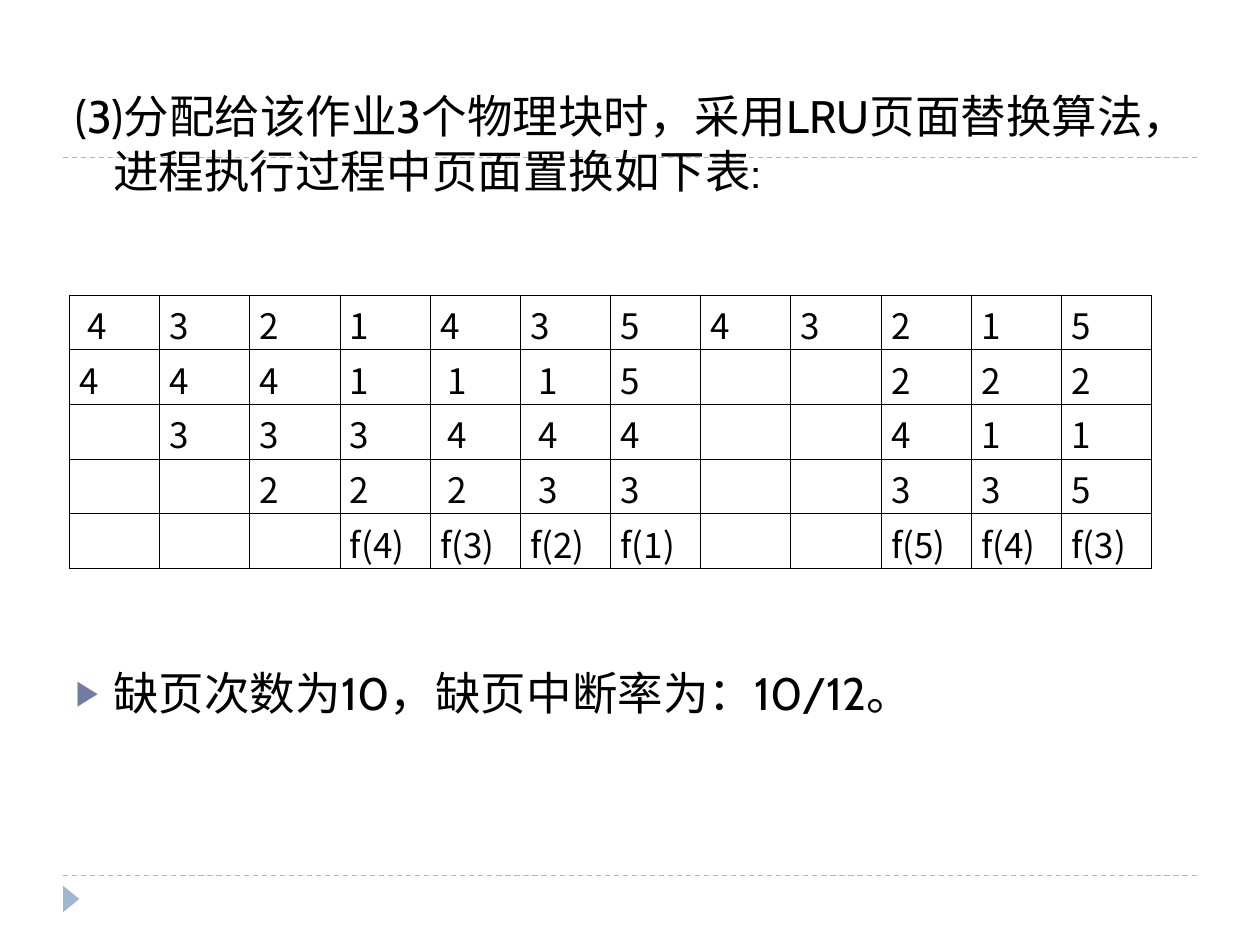
from lxml import etree
from pptx import Presentation
from pptx.dml.color import RGBColor
from pptx.enum import dml, shapes, text
from pptx.oxml.ns import qn
from pptx.util import Inches, Pt

COLORS = {"text": "000000", "accent": "9FB8CD", "bullet": "727CA3"}
BODY_FONT, TABLE_FONT = "Cabin", "Noto Sans CJK SC"

QUESTION = "(3)分配给该作业3个物理块时，采用LRU页面替换算法，进程执行过程中页面置换如下表:"
CONCLUSION = "缺页次数为10，缺页中断率为：10/12。"
PAGE_ROWS = [
    [" 4", "3", "2", "1", "4", "3", "5", "4", "3", "2", "1", "5"],
    ["4", "4", "4", "1", " 1", " 1", "5", "", "", "2", "2", "2"],
    ["", "3", "3", "3", " 4", " 4", "4", "", "", "4", "1", "1"],
    ["", "", "2", "2", " 2", " 3", "3", "", "", "3", "3", "5"],
    ["", "", "", "f(4)", "f(3)", "f(2)", "f(1)", "", "", "f(5)", "f(4)", "f(3)"],
]
RULE_TOPS = [1.25, 6.95]
TABLE_LEFT, TABLE_TOP, TABLE_WIDTH, ROW_HEIGHT = 0.55, 2.34, 8.59, 0.434


def rgb(name):
    return RGBColor.from_string(COLORS[name])


def format_runs(paragraph, font_name, size):
    for run in paragraph.runs:
        run.font.name = font_name
        run.font.size = Pt(size)
        run.font.color.rgb = rgb("text")
        east_asian = etree.SubElement(run.font._element, qn("a:ea"))
        east_asian.set("typeface", font_name)


def set_hanging_bullet(paragraph, character=None):
    """Apply a hanging indent, with a coloured bullet if a character is given."""
    properties = paragraph._p.get_or_add_pPr()
    properties.set("marL", str(Inches(0.3)))
    properties.set("indent", str(-Inches(0.3)))
    if character is None:
        etree.SubElement(properties, qn("a:buNone"))
        return
    color = etree.SubElement(properties, qn("a:buClr"))
    etree.SubElement(color, qn("a:srgbClr")).set("val", COLORS["bullet"])
    etree.SubElement(properties, qn("a:buSzPct")).set("val", "76000")
    etree.SubElement(properties, qn("a:buFont")).set("typeface", BODY_FONT)
    etree.SubElement(properties, qn("a:buChar")).set("char", character)


def set_borders(cell):
    properties = cell._tc.get_or_add_tcPr()
    for index, side in enumerate(("lnL", "lnR", "lnT", "lnB")):
        line = etree.Element(qn(f"a:{side}"), w=str(Pt(0.45)))
        fill = etree.SubElement(line, qn("a:solidFill"))
        etree.SubElement(fill, qn("a:srgbClr")).set("val", COLORS["text"])
        properties.insert(index, line)


def add_decoration(slide):
    """Add the dashed rules and corner marker behind the text."""
    parts = []
    for top in RULE_TOPS:
        rule = slide.shapes.add_connector(
            shapes.MSO_CONNECTOR.STRAIGHT, Inches(0.5), Inches(top), Inches(9.5), Inches(top))
        rule.line.color.rgb = rgb("accent")
        rule.line.width = Pt(0.75)
        rule.line.dash_style = dml.MSO_LINE.DASH
        etree.SubElement(rule._element.spPr, qn("a:effectLst"))
        parts.append(rule)
    marker = slide.shapes.add_shape(
        shapes.MSO_SHAPE.ISOSCELES_TRIANGLE,
        Inches(0.46), Inches(7.07), Inches(0.21), Inches(0.13))
    marker.rotation = 90
    marker.shadow.inherit = False
    marker.fill.solid()
    marker.fill.fore_color.rgb = rgb("accent")
    marker.line.fill.background()
    parts.append(marker)
    for index, part in enumerate(parts, start=2):
        slide.shapes._spTree.insert(index, part._element)


def fill_body(body):
    body.left, body.top = Inches(0.5), Inches(0.65)
    body.width, body.height = Inches(9), Inches(6.04)
    frame = body.text_frame
    frame.word_wrap = True
    frame.auto_size = text.MSO_AUTO_SIZE.NONE
    question, conclusion = frame.paragraphs[0], frame.add_paragraph()
    question.text, conclusion.text = QUESTION, CONCLUSION
    set_hanging_bullet(question)
    set_hanging_bullet(conclusion, "▶")
    question.space_before = Pt(0)
    conclusion.space_before = Pt(267)
    for paragraph in frame.paragraphs:
        format_runs(paragraph, BODY_FONT, 26)


def add_page_table(slide):
    row_count, column_count = len(PAGE_ROWS), len(PAGE_ROWS[0])
    table = slide.shapes.add_table(
        row_count, column_count, Inches(TABLE_LEFT), Inches(TABLE_TOP),
        Inches(TABLE_WIDTH), Inches(ROW_HEIGHT * row_count)).table
    table.first_row = table.horz_banding = False
    for row, values in enumerate(PAGE_ROWS):
        for column, value in enumerate(values):
            cell = table.cell(row, column)
            cell.margin_left = cell.margin_right = Inches(0.08)
            cell.margin_top, cell.margin_bottom = Inches(0.03), 0
            cell.fill.background()
            set_borders(cell)
            paragraph = cell.text_frame.paragraphs[0]
            paragraph.text = value
            paragraph.alignment = text.PP_ALIGN.JUSTIFY
            format_runs(paragraph, TABLE_FONT, 20)


def main():
    presentation = Presentation()
    presentation.slide_width, presentation.slide_height = Inches(10), Inches(7.5)
    slide = presentation.slides.add_slide(presentation.slide_layouts[1])
    title = slide.shapes.title._element
    title.getparent().remove(title)
    add_decoration(slide)
    fill_body(slide.placeholders[1])
    add_page_table(slide)
    presentation.save("out.pptx")


if __name__ == "__main__":
    main()
